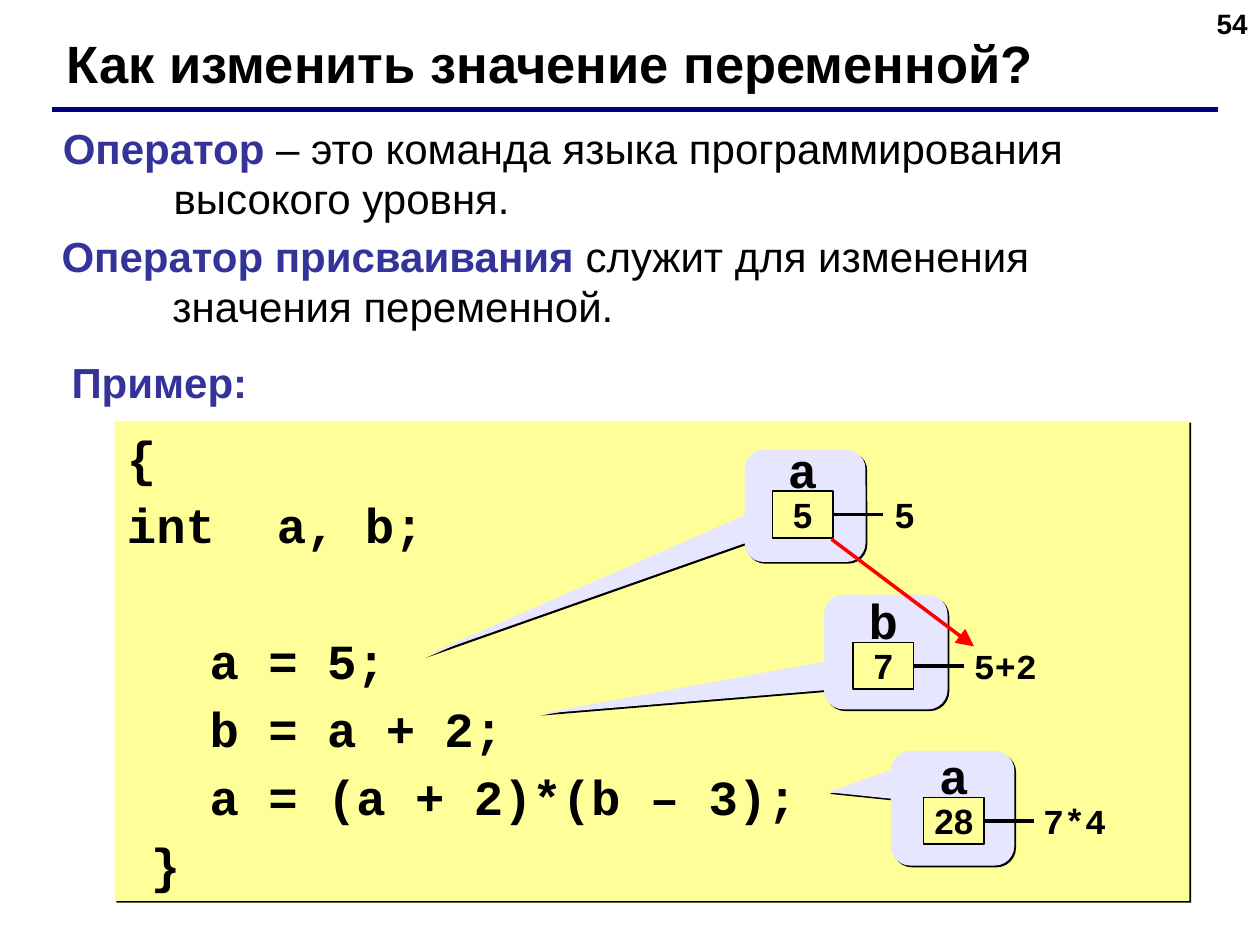
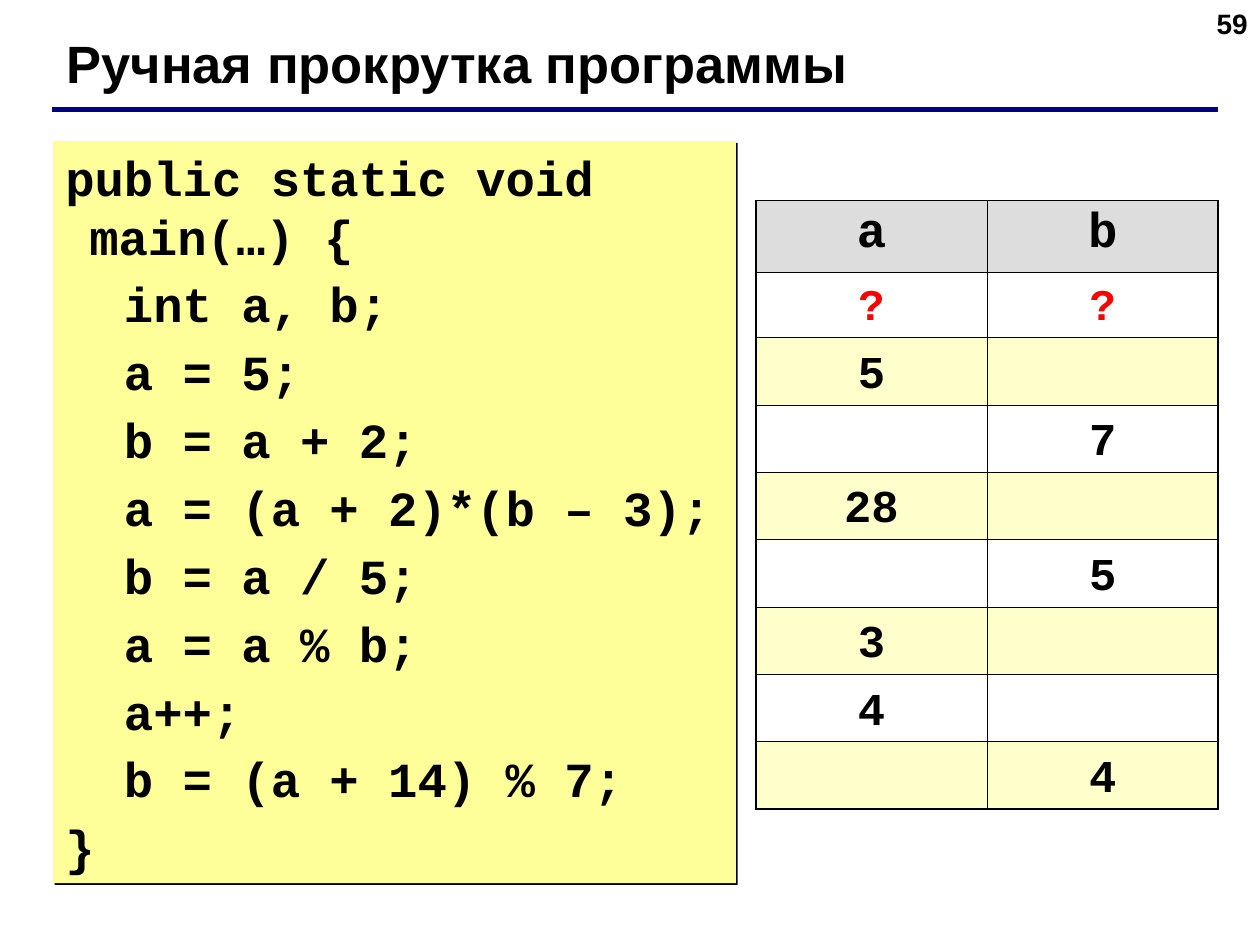
from lxml.etree import SubElement
from pptx import Presentation
from pptx.dml.color import RGBColor
from pptx.enum.shapes import MSO_CONNECTOR as Connector, MSO_SHAPE as Shape
from pptx.enum.text import MSO_ANCHOR as Anchor, PP_ALIGN as Align
from pptx.oxml import parse_xml
from pptx.oxml.ns import nsdecls, qn
from pptx.util import Inches, Pt

BLACK = RGBColor(0x00, 0x00, 0x00)
NAVY = RGBColor(0x00, 0x00, 0x80)
INDIGO = RGBColor(0x33, 0x33, 0x99)
RED = RGBColor(0xFF, 0x00, 0x00)
YELLOW = RGBColor(0xFF, 0xFF, 0x99)
PALE_YELLOW = RGBColor(0xFF, 0xFF, 0xCC)
LAVENDER = RGBColor(0xE6, 0xE6, 0xFF)
GREY = RGBColor(0xDD, 0xDD, 0xDD)
SANS, MONO = "Arial", "Courier New"
LINE_HEIGHT = 1.2
SHADOW = (f'<a:effectLst {nsdecls("a")}><a:outerShdw dist="17961" dir="2700000" algn="ctr" '
          'rotWithShape="0"><a:srgbClr val="000000"/></a:outerShdw></a:effectLst>')

presentation = Presentation()
presentation.slide_width = Inches(10)
presentation.slide_height = Inches(7.5)
COLUMN = presentation.slide_width / 100
ROW = presentation.slide_height / 75


def add_box(slide, area, lines=(), size=24, font=SANS, color=BLACK, align=Align.LEFT, wrap=True,
            anchor=Anchor.TOP, fill=None, border=False, shadow=False, hanging=0, tabs=(), gap=0,
            kind=Shape.RECTANGLE):
    left, top, width, height = area
    frame_area = [int(value) for value in (left * COLUMN, top * ROW, width * COLUMN, height * ROW)]
    if fill is None:
        shape = slide.shapes.add_textbox(*frame_area)
    else:
        shape = slide.shapes.add_shape(kind, *frame_area)
        shape.fill.solid()
        shape.fill.fore_color.rgb = fill
        shape.shadow.inherit = False
        if border:
            shape.line.color.rgb = BLACK
            shape.line.width = Pt(1)
        else:
            shape.line.fill.background()
        if shadow:
            properties = shape._element.spPr
            properties.replace(properties.find(qn("a:effectLst")), parse_xml(SHADOW))
    frame = shape.text_frame
    frame.word_wrap = wrap
    frame.vertical_anchor = anchor
    if align == Align.CENTER:
        frame.margin_left = frame.margin_right = 0
    for number, line in enumerate(lines):
        paragraph = frame.paragraphs[0] if number == 0 else frame.add_paragraph()
        settings = paragraph._p.get_or_add_pPr()
        if hanging:
            settings.set("marL", str(int(hanging * COLUMN)))
            settings.set("indent", str(-int(hanging * COLUMN)))
        if tabs:
            tab_list = SubElement(settings, qn("a:tabLst"))
            for position in tabs:
                SubElement(tab_list, qn("a:tab"), pos=str(int(position * COLUMN)), algn="l")
        paragraph.text = line
        paragraph.alignment = align
        paragraph.line_spacing = Pt(size * LINE_HEIGHT)
        paragraph.space_before = Pt(gap if number else 0)
        paragraph.font.name = font
        paragraph.font.size = Pt(size)
        paragraph.font.bold = True
        paragraph.font.color.rgb = color
    return shape


def add_line(slide, start, end, color, width, head=None):
    line = slide.shapes.add_connector(
        Connector.STRAIGHT, int(start[0] * COLUMN), int(start[1] * ROW),
        int(end[0] * COLUMN), int(end[1] * ROW))
    line.line.color.rgb = color
    line.line.width = Pt(width)
    if head:
        SubElement(line.line._get_or_add_ln(), qn("a:tailEnd"), type="triangle", w=head, len=head)
    SubElement(line._element.spPr, qn("a:effectLst"))


slides = []
for page, title in (("54", "Как изменить значение переменной?"), ("59", "Ручная прокрутка программы")):
    slide = presentation.slides.add_slide(presentation.slide_layouts[6])
    add_box(slide, (76.7, 0, 23.3, 5.2), [page], 16, align=Align.RIGHT)
    add_line(slide, (4.1, 8.7), (96.7, 8.7), NAVY, 3)
    add_box(slide, (4.3, 2, 89, 6), [title], 30)
    slides.append(slide)
assignment_slide, trace_slide = slides
code_style = dict(size=28, font=MONO, fill=YELLOW, shadow=True, hanging=1.9, tabs=(0, 10), gap=5.2)

definitions = [
    ((4, 9.2, 92.5, 9), "Оператор", " – это команда языка программирования высокого уровня."),
    ((3.9, 17.8, 90.6, 9), "Оператор присваивания", " служит для изменения значения переменной."),
]
for area, term, meaning in definitions:
    paragraph = add_box(assignment_slide, area, [term], color=INDIGO, hanging=8.8).text_frame.paragraphs[0]
    run = paragraph.add_run()
    run.text = meaning
    run.font.bold = False
    run.font.color.rgb = BLACK

add_box(assignment_slide, (9.1, 33.4, 85.3, 38.1), [
    "{",
    "int\ta, b;",
    "",
    "\t  a = 5;",
    "\t  b = a + 2;",
    "\t  a = (a + 2)*(b – 3);",
    "\t}",
], **code_style)

variables = [
    ("a", "5", "5", SANS, (59.1, 35.7, 9.6, 8.9), (-3.15, 1.34), (61.3, 39), 8.1),
    ("b", "7", "5+2", MONO, (65.4, 47.2, 9.8, 9.1), (-2.81, 0.54), (67.7, 51), 9.7),
    ("a", "28", "7*4", MONO, (70.7, 59.6, 9.8, 9.1), (-1.01, -0.14), (73.3, 63.3), 9.6),
]
centred = dict(align=Align.CENTER, wrap=False)
for name, value, source, source_font, bubble, tip, (left, top), source_shift in variables:
    callout = add_box(assignment_slide, bubble, fill=LAVENDER, shadow=True,
                      kind=Shape.ROUNDED_RECTANGULAR_CALLOUT)
    for index, adjustment in enumerate((*tip, 0.17)):
        callout.adjustments[index] = adjustment
    add_box(assignment_slide, (left + 0.25, top - 4.6, 4.3, 5.7), [name], 28, MONO, **centred)
    add_box(assignment_slide, (left + source_shift - 0.4, top, 5.6, 3.7), [source], 20, source_font,
            anchor=Anchor.MIDDLE, **centred)
    add_line(assignment_slide, (left + 8.8, top + 1.85), (left + 3.9, top + 1.85), BLACK, 2, "med")
    add_box(assignment_slide, (left, top, 4.8, 3.7), [value], 20, anchor=Anchor.MIDDLE,
            fill=YELLOW, border=True, **centred)
add_line(assignment_slide, (66, 42.8), (77.3, 51.3), RED, 2, "lg")
add_box(assignment_slide, (4.7, 27.8, 18, 5), ["Пример:"], color=INDIGO)

add_box(trace_slide, (4.2, 11.2, 54.2, 58.9), [
    "public static void main(…) {",
    "  int a, b;",
    "  a = 5;",
    "  b = a + 2;",
    "  a = (a + 2)*(b – 3);",
    "  b = a / 5;",
    "  a = a % b;",
    "  a++;",
    "  b = (a + 14) % 7;",
    "}",
], **code_style)

TABLE_LEFT, TABLE_TOP, TABLE_COLUMN = 60, 15.9, 18.35
row_heights = [5.7, 5.2] + [5.35] * 7
table = trace_slide.shapes.add_table(
    len(row_heights), 2, int(TABLE_LEFT * COLUMN), int(TABLE_TOP * ROW),
    int(2 * TABLE_COLUMN * COLUMN), int(sum(row_heights) * ROW)).table
table.first_row = False
table.horz_banding = False
last_row = len(row_heights) - 1
for table_column in table.columns:
    table_column.width = int(TABLE_COLUMN * COLUMN)
for row, height in enumerate(row_heights):
    table.rows[row].height = int(height * ROW)
    for column in range(2):
        cell = table.cell(row, column)
        outer_edges = {"lnL": column == 0, "lnR": column == 1, "lnT": row == 0, "lnB": row == last_row}
        for edge, outer in outer_edges.items():
            border = SubElement(cell._tc.get_or_add_tcPr(), qn(f"a:{edge}"),
                                w=str(Pt(1.08 if outer else 0.45)))
            SubElement(SubElement(border, qn("a:solidFill")), qn("a:srgbClr"), val=str(BLACK))
        if row % 2:
            cell.fill.background()
        else:
            cell.fill.solid()
            cell.fill.fore_color.rgb = PALE_YELLOW if row else GREY
        if row == 0:
            paragraph = cell.text_frame.paragraphs[0]
            paragraph.text = "ab"[column]
            paragraph.alignment = Align.CENTER
            paragraph.font.name = MONO
            paragraph.font.size = Pt(28)
            paragraph.font.bold = True
            paragraph.font.color.rgb = BLACK

trace = [(1, 0, "?"), (1, 1, "?"), (2, 0, "5"), (3, 1, "7"), (4, 0, "28"), (5, 1, "5"),
         (6, 0, "3"), (7, 0, "4"), (8, 1, "4")]
for row, column, value in trace:
    unknown = value == "?"
    width = 2 + 2.15 * len(value)
    left = TABLE_LEFT + (column + 0.5) * TABLE_COLUMN - width / 2
    top = TABLE_TOP + sum(row_heights[:row]) - 0.1
    add_box(trace_slide, (left, top, width, 5.4), [value], 25 if unknown else 26, MONO,
            RED if unknown else BLACK, **centred)

presentation.save("out.pptx")
